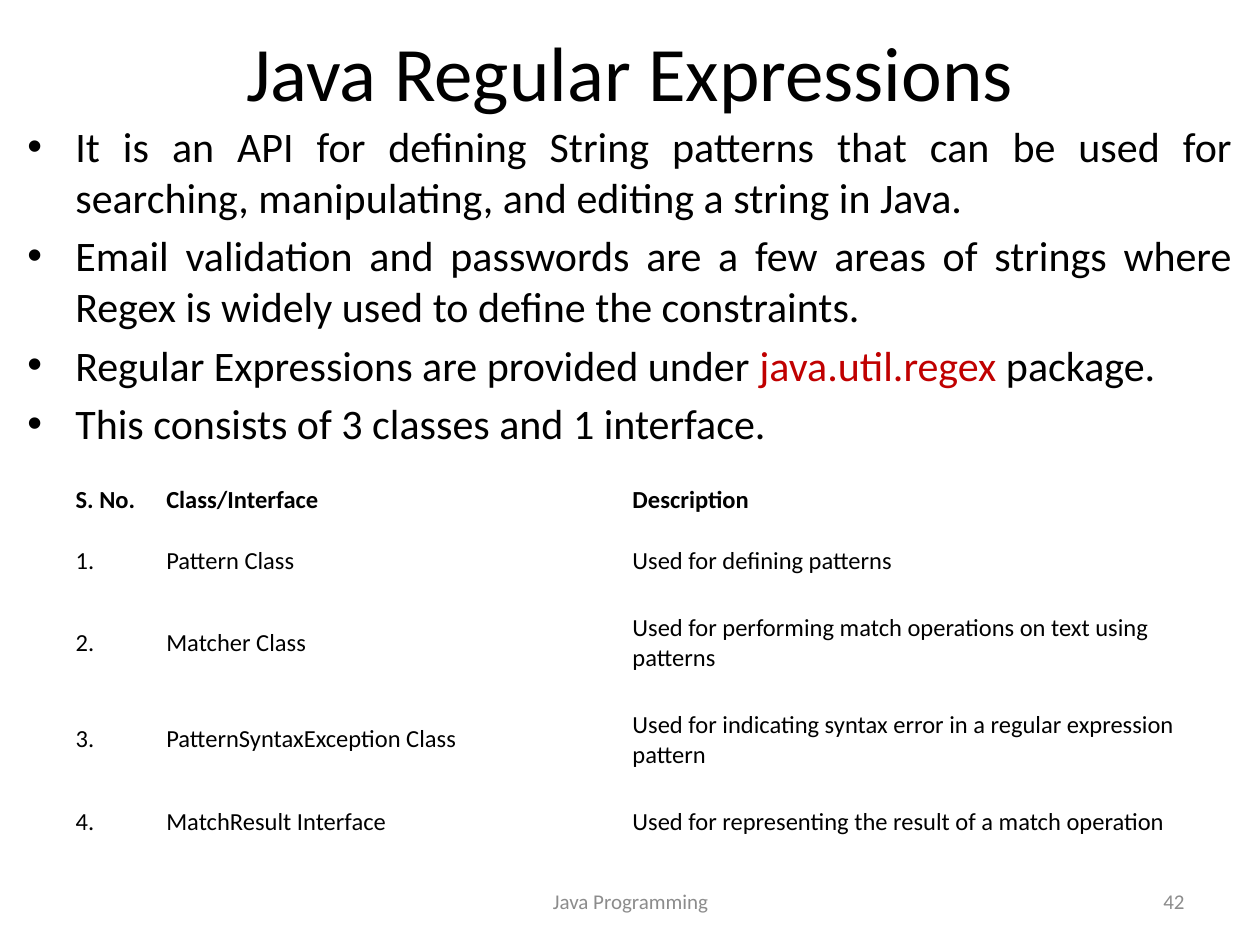
from dataclasses import dataclass

from lxml.etree import SubElement
from pptx import Presentation
from pptx.dml.color import RGBColor
from pptx.enum.text import MSO_ANCHOR, PP_ALIGN
from pptx.oxml.ns import qn
from pptx.util import Inches, Pt


@dataclass(frozen=True)
class Theme:
    font: str = "Calibri"
    ink: str = "000000"
    accent: str = "C00000"
    muted: str = "8C8C8C"
    paper: str = "FFFFFF"
    title: int = 44
    body: int = 24
    cell: int = 14
    footer: int = 12


class Deck:
    def __init__(self, prs, theme):
        self.theme = theme
        self.s = prs.slides.add_slide(prs.slide_layouts[6])
        fill = self.s.background.fill
        fill.solid()
        fill.fore_color.rgb = RGBColor.from_string(theme.paper)

    def apply(self, target, values):
        for name, value in values.items():
            setattr(target, name, value)

    def run(self, p, text, size, color, bold=False):
        r = p.add_run()
        r.text = text
        self.apply(r.font, {"name": self.theme.font, "size": Pt(size), "bold": bold})
        r.font.color.rgb = RGBColor.from_string(color)

    def frame(self, box, anchor):
        tf = self.s.shapes.add_textbox(*map(Inches, box)).text_frame
        self.apply(tf, {"word_wrap": True, "vertical_anchor": anchor})
        return tf

    def label(self, box, text, size, color, align):
        p = self.frame(box, MSO_ANCHOR.MIDDLE).paragraphs[0]
        p.alignment = align
        self.run(p, text, size, color)

    def bullets(self, box, items):
        tf = self.frame(box, MSO_ANCHOR.TOP)
        for i, parts in enumerate(items):
            p = tf.add_paragraph() if i else tf.paragraphs[0]
            self.apply(p, {"alignment": PP_ALIGN.JUSTIFY,
                           "space_before": Pt(0.2 * self.theme.body)})
            pPr = p._p.get_or_add_pPr()
            pPr.set("marL", str(Inches(0.38)))
            pPr.set("indent", str(-Inches(0.38)))
            SubElement(pPr, qn("a:buFont")).set("typeface", "Arial")
            SubElement(pPr, qn("a:buChar")).set("char", "•")
            for text, color in parts:
                self.run(p, text, self.theme.body, color)

    def table(self, box, widths, heights, rows):
        table = self.s.shapes.add_table(len(rows), len(widths), *map(Inches, box)).table
        self.apply(table, {"first_row": False, "horz_banding": False})
        for col, width in zip(table.columns, widths):
            col.width = Inches(width)
        for i, (row, height, texts) in enumerate(zip(table.rows, heights, rows)):
            row.height = Inches(height)
            pad = Inches(0.15 if i else 0.1)
            for cell, text in zip(row.cells, texts):
                self.apply(cell, {"vertical_anchor": MSO_ANCHOR.MIDDLE,
                                  "margin_left": Inches(0.1), "margin_right": Inches(0.1),
                                  "margin_top": pad, "margin_bottom": pad})
                cell.fill.solid()
                cell.fill.fore_color.rgb = RGBColor.from_string(self.theme.paper)
                self.run(cell.text_frame.paragraphs[0], text, self.theme.cell,
                         self.theme.ink, bold=i == 0)


prs = Presentation()
prs.slide_width, prs.slide_height = Inches(10), Inches(7.5)
theme = Theme()
deck = Deck(prs, theme)

deck.label((0.5, 0.05, 9, 1.02), "Java Regular Expressions",
           theme.title, theme.ink, PP_ALIGN.CENTER)
deck.bullets((0.12, 0.91, 9.76, 6.06), [
    [("It is an API for defining String patterns that can be used for searching, "
      "manipulating, and editing a string in Java. ", theme.ink)],
    [("Email validation and passwords are a few areas of strings where Regex is "
      "widely used to define the constraints. ", theme.ink)],
    [("Regular Expressions are provided under ", theme.ink),
     ("java.util.regex", theme.accent), (" package. ", theme.ink)],
    [("This consists of 3 classes and 1 interface.", theme.ink)],
])
deck.label((7.17, 6.95, 2.33, 0.4), "42", theme.footer, theme.muted, PP_ALIGN.RIGHT)
deck.label((3.42, 6.95, 3.17, 0.4), "Java Programming",
           theme.footer, theme.muted, PP_ALIGN.CENTER)

entries = [
    ("Pattern Class", "Used for defining patterns"),
    ("Matcher Class", "Used for performing match operations on text using patterns"),
    ("PatternSyntaxException Class",
     "Used for indicating syntax error in a regular expression pattern"),
    ("MatchResult Interface", "Used for representing the result of a match operation"),
]
rows = [("S. No.", "Class/Interface", "Description")]
rows += [(f"{n}.", *entry) for n, entry in enumerate(entries, 1)]
deck.table((0.5, 3.75, 9, 3.01), (0.72, 3.7, 4.58), (0.43, 0.53, 0.76, 0.76, 0.53), rows)

prs.save("out.pptx")
